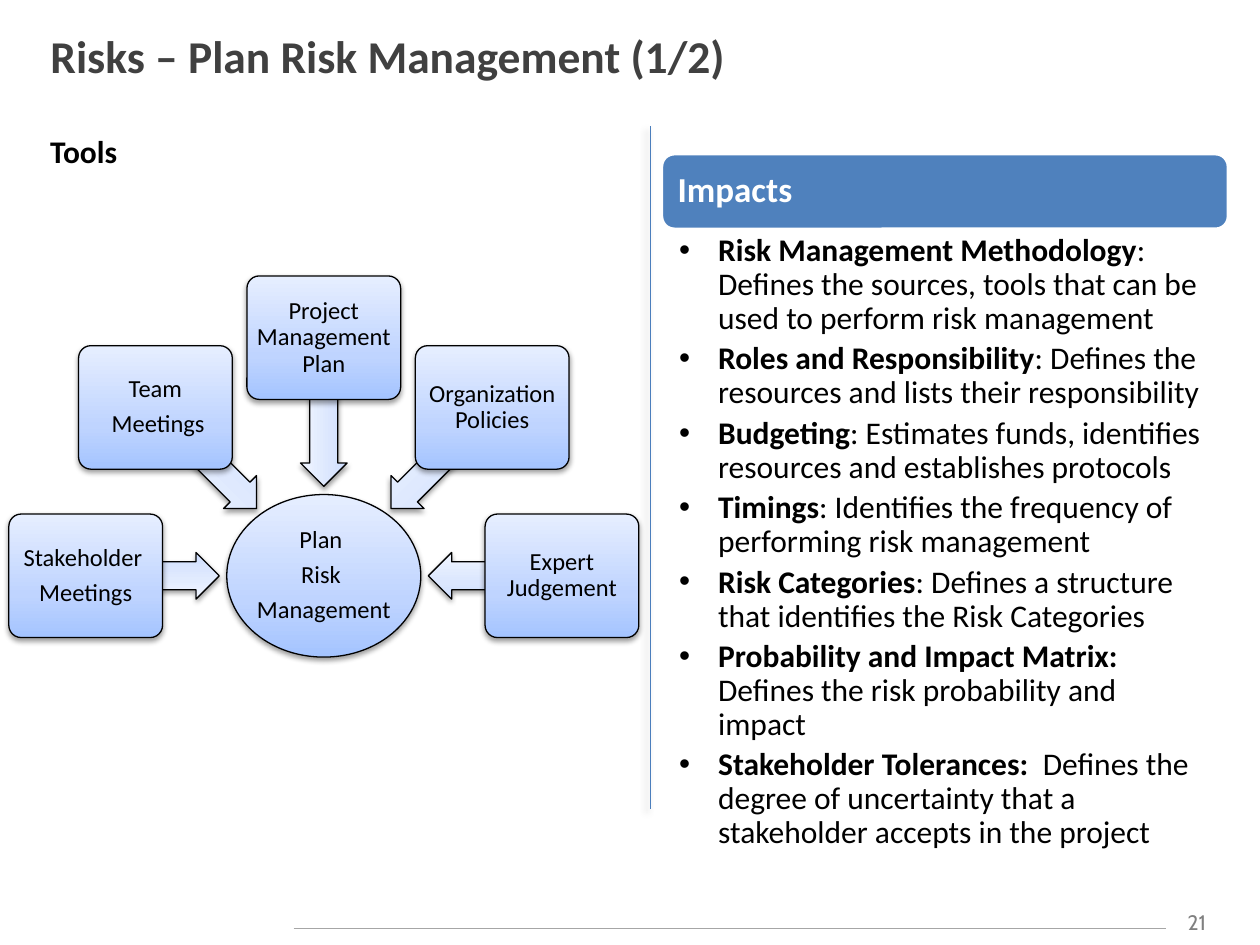
import math
import pptx
import pptx.util
import pptx.dml.color
import pptx.enum.shapes
import pptx.enum.text
import pptx.oxml.ns
from lxml import etree

Inches = pptx.util.Inches
Pt = pptx.util.Pt
qn = pptx.oxml.ns.qn
SHAPES = pptx.enum.shapes.MSO_SHAPE
ALIGN = pptx.enum.text.PP_ALIGN
ANCHOR = pptx.enum.text.MSO_ANCHOR

COLORS = {"title": "404040", "text": "000000", "white": "FFFFFF", "number": "808080",
          "rule": "A6A6A6", "divider": "4B7EBC", "banner": "4F81BD"}
RGB = {name: pptx.dml.color.RGBColor.from_string(value) for name, value in COLORS.items()}
NODE_STOPS = [(0, "A4C4FF"), (35, "BFD4FF"), (100, "E6EEFF")]
ARROW_STOPS = [(0, "CDDDFE"), (35, "DBE6FE"), (100, "F0F5FF")]


def write(shape, paragraphs, size, color="text", bold=False, font="Calibri", inset=None,
          anchor=ANCHOR.MIDDLE, wrap=True, **spacing):
    frame = shape.text_frame
    frame_format = {"word_wrap": wrap, "vertical_anchor": anchor}
    if inset:
        sides = ("margin_left", "margin_top", "margin_right", "margin_bottom")
        frame_format.update(zip(sides, map(Inches, inset)))
    for name, value in frame_format.items():
        setattr(frame, name, value)
    for index, runs in enumerate(paragraphs):
        paragraph = frame.paragraphs[0] if index == 0 else frame.add_paragraph()
        for name, value in spacing.items():
            setattr(paragraph, name, value)
        for text, run_bold in runs if isinstance(runs, tuple) else ((runs, bold),):
            run = paragraph.add_run()
            run.text = text
            run_format = {"name": font, "size": Pt(size), "bold": run_bold}
            for name, value in run_format.items():
                setattr(run.font, name, value)
            run.font.color.rgb = RGB[color]


def add_diagram_part(kind, center_x, center_y, width, height, stops):
    part = slide.shapes.add_shape(kind, Inches(center_x - width / 2), Inches(center_y - height / 2),
                                  Inches(width), Inches(height))
    part.fill.gradient()
    part.fill.gradient_angle = 90
    stop_list = part._element.spPr.find(".//" + qn("a:gsLst"))
    for stop in list(stop_list):
        stop_list.remove(stop)
    for position, color in stops:
        stop = etree.SubElement(stop_list, qn("a:gs"), pos=str(position * 1000))
        etree.SubElement(stop, qn("a:srgbClr"), val=color)
    part.line.color.rgb = RGB["text"]
    part.line.width = Pt(0.75)
    part.shadow.inherit = False
    effects = part._element.spPr.find(qn("a:effectLst"))
    shadow = etree.SubElement(effects, qn("a:outerShdw"), blurRad=str(Pt(3.1)), dist=str(Pt(1.6)),
                              dir="5400000", rotWithShape="0")
    tint = etree.SubElement(shadow, qn("a:srgbClr"), val=COLORS["text"])
    etree.SubElement(tint, qn("a:alpha"), val="38000")
    return part


deck = pptx.Presentation()
deck.slide_width, deck.slide_height = Inches(10), Inches(7.5)
slide = deck.slides.add_slide(deck.slide_layouts[5])

title = slide.shapes.title
title_box = {"left": 0.3, "top": 0.12, "width": 9.36, "height": 0.63}
for name, value in title_box.items():
    setattr(title, name, Inches(value))
write(title, ["Risks – Plan Risk Management (1/2)"], 26, "title", True, alignment=ALIGN.LEFT)

for color, width, ends, shadowed in [("rule", 0.75, (2.33, 7.37, 9.25, 7.37), False),
                                     ("divider", 0.25, (5.16, 1, 5.16, 6.42), True)]:
    line = slide.shapes.add_connector(pptx.enum.shapes.MSO_CONNECTOR.STRAIGHT, *map(Inches, ends))
    line.line.color.rgb = RGB[color]
    line.line.width = Pt(width)
    effects = etree.SubElement(line._element.spPr, qn("a:effectLst"))
    if shadowed:
        shadow = etree.SubElement(effects, qn("a:outerShdw"), blurRad=str(Pt(4)), dist=str(Pt(3)),
                                  dir="8100000", rotWithShape="0")
        tint = etree.SubElement(shadow, qn("a:srgbClr"), val=COLORS["text"])
        etree.SubElement(tint, qn("a:alpha"), val="40000")

page_number = slide.shapes.add_textbox(Inches(9.25), Inches(7.17), Inches(0.5), Inches(0.3))
write(page_number, ["21"], 12, "number", font="Cabin", anchor=ANCHOR.TOP, alignment=ALIGN.CENTER)

banner = slide.shapes.add_shape(SHAPES.ROUNDED_RECTANGLE, Inches(5.25), Inches(1.22),
                                Inches(4.5), Inches(0.6))
banner.adjustments[0] = 0.17
banner.fill.solid()
banner.fill.fore_color.rgb = RGB["banner"]
banner.line.color.rgb = RGB["white"]
banner.line.width = Pt(2)
banner.shadow.inherit = False
write(banner, ["Impacts"], 20, "white", True, inset=(0.1,) * 4,
      alignment=ALIGN.LEFT, line_spacing=0.9)

impacts = [
    ("Risk Management Methodology", ": Defines the sources, tools that can be used to perform risk management"),
    ("Roles and Responsibility", ": Defines the resources and lists their responsibility"),
    ("Budgeting", ": Estimates funds, identifies resources and establishes protocols"),
    ("Timings", ": Identifies the frequency of performing risk management"),
    ("Risk Categories", ": Defines a structure that identifies the Risk Categories"),
    ("Probability and Impact Matrix: ", "Defines the risk probability and impact"),
    ("Stakeholder Tolerances: ", " Defines the degree of uncertainty that a stakeholder accepts in the project"),
]
impact_list = slide.shapes.add_textbox(Inches(5.25), Inches(1.83), Inches(4.5), Inches(4.89))
write(impact_list, [((term, True), (meaning, False)) for term, meaning in impacts], 18,
      inset=(0.14, 0.03, 0.18, 0.03), anchor=ANCHOR.TOP, line_spacing=0.9, space_after=Pt(3.6))
for paragraph in impact_list.text_frame.paragraphs:
    properties = paragraph._p.get_or_add_pPr()
    properties.set("marL", str(Inches(0.31)))
    properties.set("indent", str(Inches(-0.31)))
    etree.SubElement(properties, qn("a:buFont"), typeface="Arial")
    etree.SubElement(properties, qn("a:buChar"), char="•")

hub_x, hub_y, tool_radius = 2.57, 4.57, 1.89
node_text = {"alignment": ALIGN.CENTER, "line_spacing": 0.9, "space_after": Pt(4.9)}
hub = add_diagram_part(SHAPES.OVAL, hub_x, hub_y, 1.54, 1.29, NODE_STOPS)
write(hub, ["Plan ", "Risk ", "Management"], 14, inset=(0.01,) * 4, **node_text)

tools = [
    (["Stakeholder ", "Meetings"], 1.36, 1.06),
    (["Team", " Meetings"], 1.32, 1.13),
    (["Project Management Plan"], 1.3, 1.18),
    (["Organization Policies"], 1.32, 1.13),
    (["Expert Judgement"], 1.36, 1.06),
]
for index, (label, arrow_radius, arrow_length) in enumerate(tools):
    angle = 180 + 45 * index
    across, down = math.cos(math.radians(angle)), math.sin(math.radians(angle))
    arrow = add_diagram_part(SHAPES.LEFT_ARROW, hub_x + arrow_radius * across,
                             hub_y + arrow_radius * down, arrow_length, 0.37, ARROW_STOPS)
    arrow.adjustments[0] = 0.6
    arrow.adjustments[1] = 0.5
    arrow.rotation = angle % 360
    tool = add_diagram_part(SHAPES.ROUNDED_RECTANGLE, hub_x + tool_radius * across,
                            hub_y + tool_radius * down, 1.22, 0.98, NODE_STOPS)
    tool.adjustments[0] = 0.1
    write(tool, label, 14, inset=(0.03,) * 4, **node_text)

tools_heading = slide.shapes.add_textbox(Inches(0.3), Inches(1), Inches(0.74), Inches(0.4))
write(tools_heading, ["Tools"], 18, bold=True, anchor=ANCHOR.TOP, wrap=False,
      alignment=ALIGN.LEFT, space_before=Pt(4.3))

deck.save("out.pptx")
